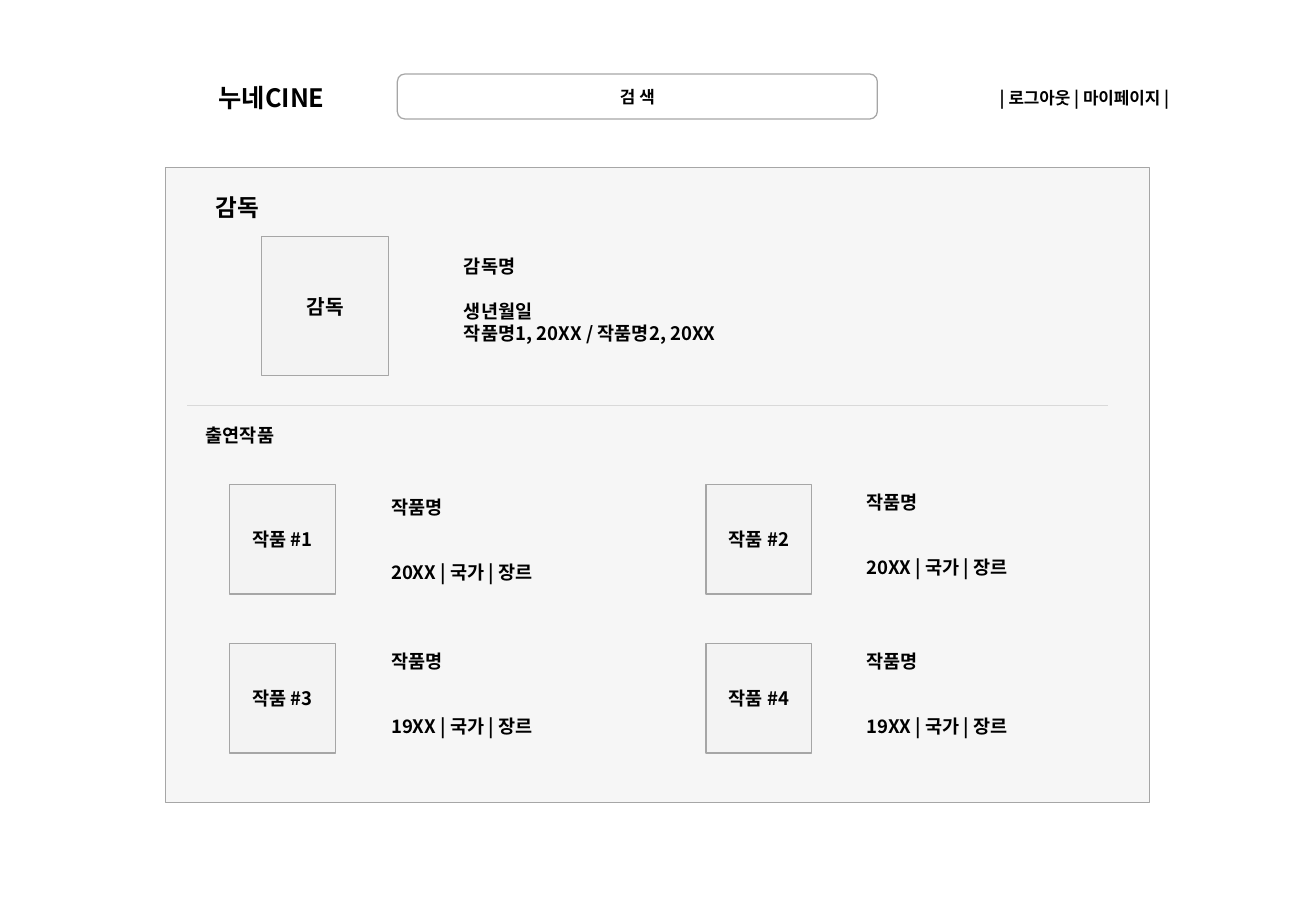
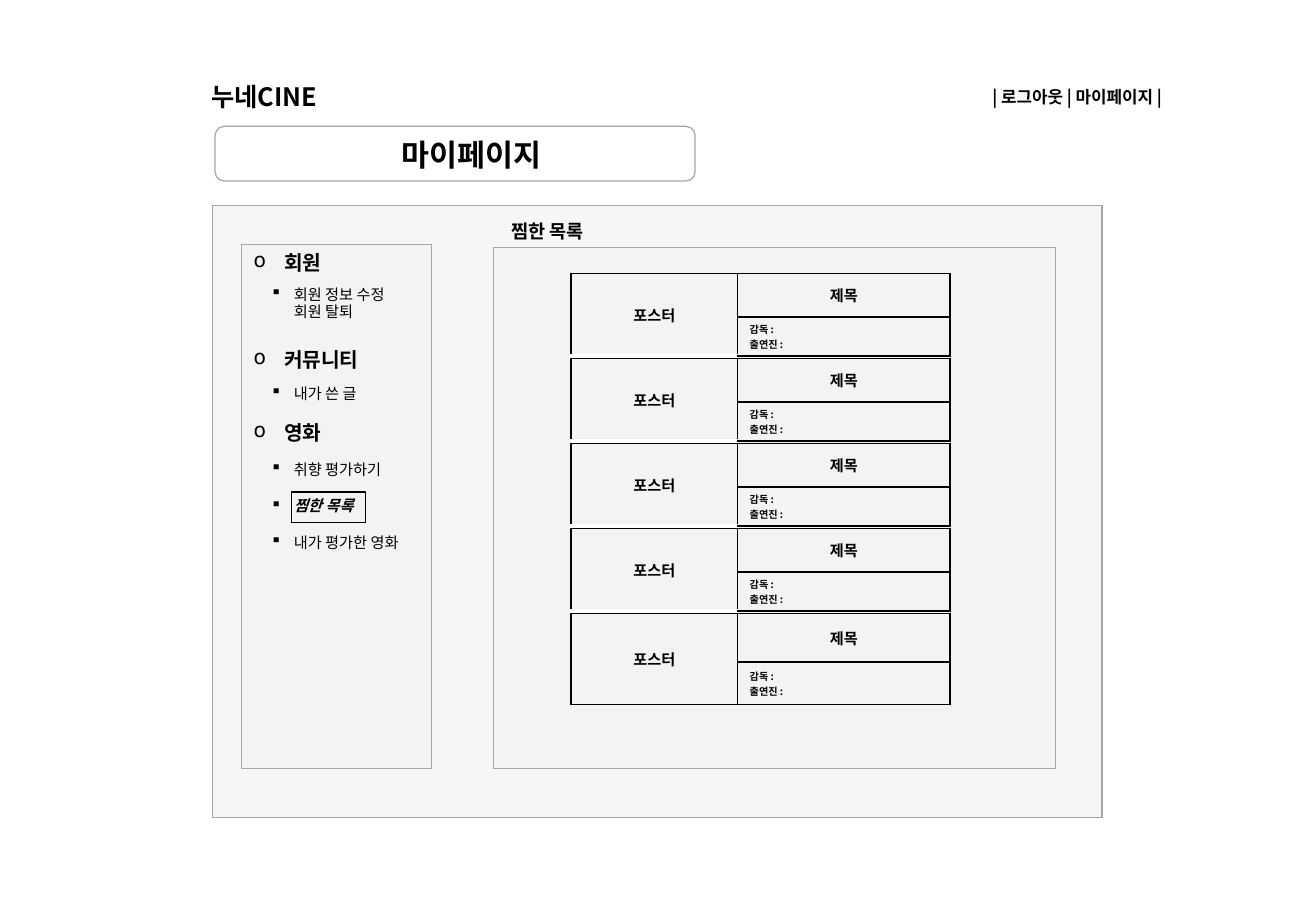
from lxml.etree import SubElement
from pptx import Presentation
from pptx.dml.color import RGBColor
from pptx.enum.shapes import MSO_CONNECTOR, MSO_SHAPE
from pptx.enum.text import MSO_ANCHOR, MSO_AUTO_SIZE, PP_ALIGN
from pptx.oxml.ns import qn
from pptx.util import Inches, Pt

BLACK = RGBColor(0x00, 0x00, 0x00)
WHITE = RGBColor(0xFF, 0xFF, 0xFF)
PANEL_GRAY = RGBColor(0xF2, 0xF2, 0xF2)
BORDER_GRAY = RGBColor(0xA6, 0xA6, 0xA6)
DIVIDER_GRAY = RGBColor(0xD9, 0xD9, 0xD9)
FONT = "Noto Sans CJK KR"
LINE_HEIGHT = 1.21
TITLE_ONLY = 5

SITE_NAME = "누네CINE"
MENU = "| 로그아웃 | 마이페이지 |"

DIRECTOR_LINES = ["감독명", "생년월일", "작품명1, 20XX / 작품명2, 20XX"]
DIRECTOR_GAPS = [0, 13.3, 0]
# label, details, extra drop of the details in inches
WORKS = [
    ("작품 #1", "20XX | 국가 | 장르", 0.04),
    ("작품 #2", "20XX | 국가 | 장르", 0),
    ("작품 #3", "19XX | 국가 | 장르", 0),
    ("작품 #4", "19XX | 국가 | 장르", 0),
]
WORK_GAPS = [0, 25.2]
WORK_COLUMNS = [(1.89, 3.12), (5.81, 7.03)]
WORK_ROWS = [3.99, 5.3]

# text, is heading, space before in points
SIDEBAR = [
    ("회원", True, 0),
    ("회원 정보 수정\n회원 탈퇴", False, 6.5),
    ("커뮤니티", True, 15.5),
    ("내가 쓴 글", False, 7.7),
    ("영화", True, 10.6),
    ("취향 평가하기", False, 9.4),
    ("찜한 목록", False, 11.2),
    ("내가 평가한 영화", False, 11.2),
]
CURRENT_PAGE = "찜한 목록"
MOVIE_ROW_HEIGHTS = [(0.36, 0.32)] * 4 + [(0.4, 0.35)]
MOVIE_COLUMNS = (1.37, 1.75)
MOVIE_TOP, MOVIE_STEP = 2.25, 0.7


def inches(values):
    return [Inches(value) for value in values]


def style_paragraph(paragraph, size, align=PP_ALIGN.LEFT, bold=True, italic=False,
                    line_height=LINE_HEIGHT, before=0):
    paragraph.alignment = align
    paragraph.line_spacing = Pt(round(size * line_height, 1))
    paragraph.space_before = Pt(before)
    paragraph.space_after = Pt(0)
    for run in paragraph.runs:
        font = run.font
        font.size, font.bold, font.italic, font.name = Pt(size), bold, italic, FONT
        font.color.rgb = BLACK
        SubElement(run.font._element, qn("a:ea"), typeface=FONT)


def write(shape, lines, size, align=PP_ALIGN.LEFT, anchor=MSO_ANCHOR.TOP, gaps=None):
    frame = shape.text_frame
    frame.word_wrap = True
    frame.auto_size = MSO_AUTO_SIZE.NONE
    frame.vertical_anchor = anchor
    frame.text = "\n".join(lines)
    for paragraph, gap in zip(frame.paragraphs, gaps or [0] * len(lines)):
        style_paragraph(paragraph, size, align, before=gap)


def add_text(slide, box, lines, size, **options):
    write(slide.shapes.add_textbox(*inches(box)), lines, size, **options)


def add_title(slide, box, text, size, anchor):
    """Fill the title placeholder and bring it in front of the panels."""
    title = slide.shapes.title
    title.left, title.top, title.width, title.height = inches(box)
    write(title, [text], size, align=PP_ALIGN.CENTER, anchor=anchor)
    title.element.getparent().append(title.element)


def add_frame(slide, box, kind=MSO_SHAPE.RECTANGLE, filled=True, line=BORDER_GRAY):
    shape = slide.shapes.add_shape(kind, *inches(box))
    shape.shadow.inherit = False
    shape.line.color.rgb = line
    shape.line.width = Pt(0.75)
    if filled:
        shape.fill.solid()
        shape.fill.fore_color.rgb = PANEL_GRAY
        color = shape.element.spPr.find(qn("a:solidFill"))[0]
        SubElement(color, qn("a:alpha"), val="69000")
    else:
        shape.fill.background()
    return shape


def add_labelled_frame(slide, box, label, size, **options):
    write(add_frame(slide, box, **options), [label], size,
          align=PP_ALIGN.CENTER, anchor=MSO_ANCHOR.MIDDLE)


def add_divider(slide, left, right, top):
    line = slide.shapes.add_connector(
        MSO_CONNECTOR.STRAIGHT, *inches((left, top, right, top)))
    line.line.color.rgb = DIVIDER_GRAY
    line.line.width = Pt(0.75)
    SubElement(line.element.spPr, qn("a:effectLst"))


def add_page(presentation, left, top):
    """Add a slide with the site name and menu, starting at left, top."""
    slide = presentation.slides.add_slide(presentation.slide_layouts[TITLE_ONLY])
    add_text(slide, (left, top, 1.4, 0.35), [SITE_NAME], 15)
    add_text(slide, (left + 5.92, top + 0.04, 2.1, 0.26), [MENU], 10, align=PP_ALIGN.RIGHT)
    return slide


def set_borders(cell, bottom=(BLACK, 1)):
    properties = cell._tc.get_or_add_tcPr()
    sides = [("lnL", BLACK, 1), ("lnR", BLACK, 1), ("lnT", BLACK, 1), ("lnB", *bottom)]
    for position, (side, color, width) in enumerate(sides):
        line = SubElement(properties, qn(f"a:{side}"), w=str(Pt(width)))
        SubElement(SubElement(line, qn("a:solidFill")), qn("a:srgbClr"), val=str(color))
        properties.insert(position, line)


def add_movie(slide, top, heights, is_last):
    box = (4.7, top, sum(MOVIE_COLUMNS), sum(heights))
    table = slide.shapes.add_table(2, 2, *inches(box)).table
    table.first_row = table.horz_banding = False
    for column, width in zip(table.columns, MOVIE_COLUMNS):
        column.width = Inches(width)
    for row, height in zip(table.rows, heights):
        row.height = Inches(height)
    poster_bottom = (BLACK, 1) if is_last else (WHITE, 3)
    for row in range(2):
        for column in range(2):
            cell = table.cell(row, column)
            cell.fill.background()
            cell.vertical_anchor = MSO_ANCHOR.MIDDLE
            cell.margin_top = cell.margin_bottom = Inches(0.02)
            set_borders(cell, (BLACK, 1) if column else poster_bottom)
    table.cell(0, 0).merge(table.cell(1, 0))
    for row, column, text, size, align in [
        (0, 0, "포스터", 9, PP_ALIGN.CENTER),
        (0, 1, "제목", 9, PP_ALIGN.CENTER),
        (1, 1, "감독 :\n출연진 :", 6, PP_ALIGN.LEFT),
    ]:
        frame = table.cell(row, column).text_frame
        frame.text = text
        for paragraph in frame.paragraphs:
            style_paragraph(paragraph, size, align, line_height=1.45)


def add_sidebar(slide, box):
    frame = add_frame(slide, box).text_frame
    frame.word_wrap = True
    frame.vertical_anchor = MSO_ANCHOR.TOP
    for index, (text, heading, before) in enumerate(SIDEBAR):
        paragraph = frame.add_paragraph() if index else frame.paragraphs[0]
        paragraph.text = text
        current = text == CURRENT_PAGE
        margin, hang, bullet = (0.25, 0.25, "o") if heading else (0.33, 0.19, "▪")
        style_paragraph(paragraph, 12 if heading else 9, bold=heading or current,
                        italic=current, before=before,
                        line_height=LINE_HEIGHT if heading else 1.17)
        properties = paragraph._p.get_or_add_pPr()
        properties.set("marL", str(Inches(margin)))
        properties.set("indent", str(-Inches(hang)))
        SubElement(properties, qn("a:buChar"), char=bullet)


def build_director_page(presentation):
    slide = add_page(presentation, 1.7, 0.63)
    add_labelled_frame(slide, (3.27, 0.61, 3.95, 0.37), "검 색", 10,
                       kind=MSO_SHAPE.ROUNDED_RECTANGLE, filled=False)
    add_frame(slide, (1.36, 1.38, 8.1, 5.23))
    add_divider(slide, 1.54, 9.12, 3.34)
    add_title(slide, (1.43, 1.54, 1.05, 0.33), "감독", 14, MSO_ANCHOR.MIDDLE)
    add_text(slide, (1.45, 3.42, 1.05, 0.33), ["출연작품"], 11,
             align=PP_ALIGN.CENTER, anchor=MSO_ANCHOR.MIDDLE)
    add_labelled_frame(slide, (2.15, 1.95, 1.05, 1.14), "감독", 12)
    add_text(slide, (3.72, 2.05, 2.96, 1.01), DIRECTOR_LINES, 11, gaps=DIRECTOR_GAPS)
    for index, (label, details, drop) in enumerate(WORKS):
        row, column = divmod(index, len(WORK_COLUMNS))
        frame_left, text_left = WORK_COLUMNS[column]
        top = WORK_ROWS[row]
        add_labelled_frame(slide, (frame_left, top, 0.87, 0.9), label, 11)
        add_text(slide, (text_left, top + drop, 1.74, 0.82), ["작품명", details], 11,
                 gaps=WORK_GAPS)


def build_my_page(presentation):
    slide = add_page(presentation, 1.64, 0.62)
    add_frame(slide, (1.77, 1.04, 3.95, 0.45), MSO_SHAPE.ROUNDED_RECTANGLE, filled=False)
    add_title(slide, (2.76, 1.07, 2.24, 0.4), "마이페이지", 18, MSO_ANCHOR.TOP)
    add_frame(slide, (1.75, 1.69, 7.32, 5.04))
    add_sidebar(slide, (1.99, 2.01, 1.56, 4.32))
    add_frame(slide, (2.4, 4.05, 0.61, 0.25), filled=False, line=BLACK)
    add_frame(slide, (4.06, 2.04, 4.63, 4.29))
    add_text(slide, (4.11, 1.76, 1.42, 0.44), [CURRENT_PAGE], 11)
    for index, heights in enumerate(MOVIE_ROW_HEIGHTS):
        add_movie(slide, MOVIE_TOP + index * MOVIE_STEP, heights,
                  index == len(MOVIE_ROW_HEIGHTS) - 1)


def main():
    presentation = Presentation()
    presentation.slide_width = Inches(10.83)
    presentation.slide_height = Inches(7.5)
    build_director_page(presentation)
    build_my_page(presentation)
    presentation.save("out.pptx")


if __name__ == "__main__":
    main()
